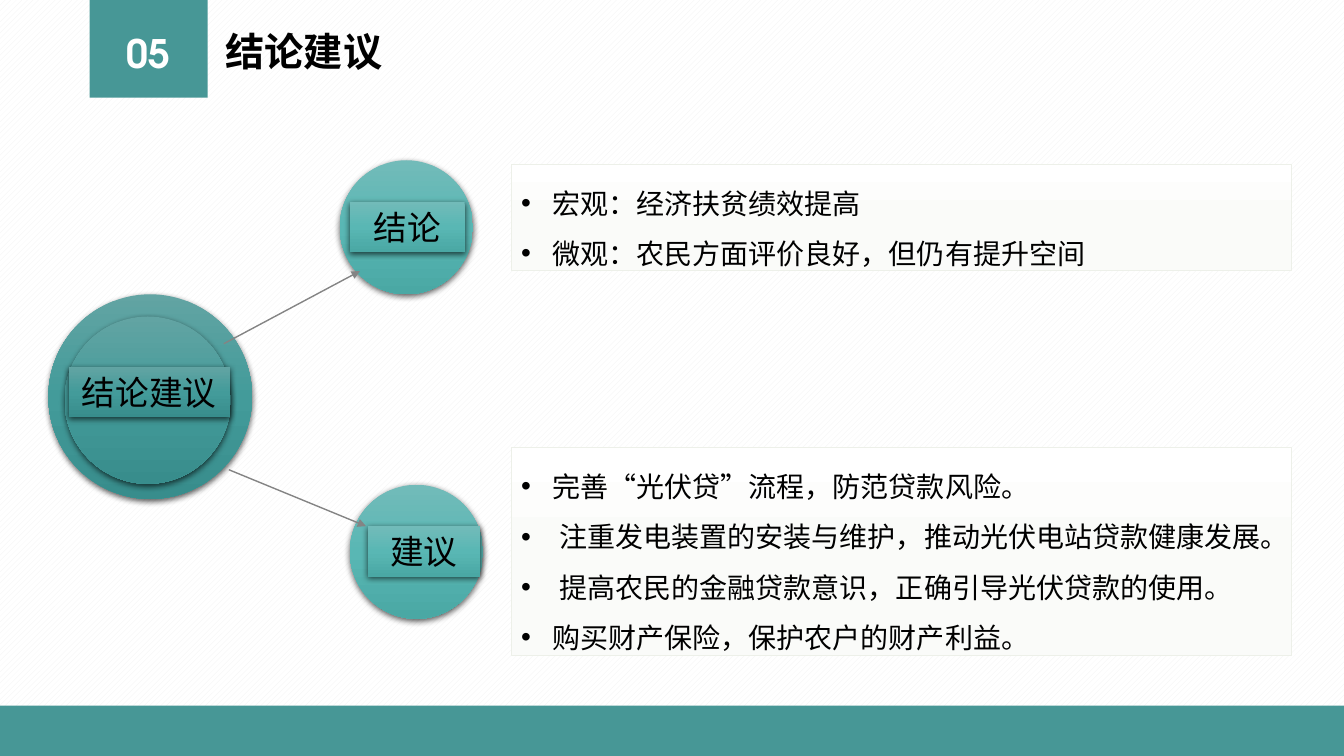
import pptx
import pptx.util
import pptx.dml.color
import pptx.enum.dml
import pptx.enum.shapes
import pptx.enum.text
import pptx.oxml
import pptx.oxml.ns

Inches = pptx.util.Inches
Shape = pptx.enum.shapes.MSO_SHAPE
Align = pptx.enum.text.PP_ALIGN
Anchor = pptx.enum.text.MSO_ANCHOR
NS = pptx.oxml.ns.nsdecls("a")

SANS = "Noto Sans CJK SC"
HEAD = "TeX Gyre Adventor"
TEAL = "479796"
DARK = ("62A4A3", "439B9A", "388D8C")
LIGHT = ("72BBB9", "59B7B4", "4AA8A4")
PALE = ("FFFFFF", "FAFBF9", "FAFBF9")


def color(code):
    return pptx.dml.color.RGBColor.from_string(code)


def write(para, text, size=20, font=SANS, tint="000000", bold=False,
          align=Align.LEFT, space=1.0, indent=None):
    if indent:
        props = para._p.get_or_add_pPr()
        props.set("marL", str(Inches(indent)))
        props.set("indent", str(-Inches(indent)))
        props.append(pptx.oxml.parse_xml(f'<a:buFont {NS} typeface="Arial"/>'))
        props.append(pptx.oxml.parse_xml(f'<a:buChar {NS} char="•"/>'))
    para.alignment = align
    para.line_spacing = space
    run = para.add_run()
    run.text = text
    run.font.size = pptx.util.Pt(size)
    run.font.bold = bold
    run.font.name = font
    run.font.color.rgb = color(tint)
    run._r.get_or_add_rPr().find(pptx.oxml.ns.qn("a:latin")).addnext(
        pptx.oxml.parse_xml(f'<a:ea {NS} typeface="{SANS}"/>'))


def block(slide, kind, box, fill, line=None, shade=False):
    """Add a shape with a plain fill, or a three-stop fill from top to bottom."""
    shape = slide.shapes.add_shape(kind, *map(Inches, box))
    shape.shadow.inherit = False
    if isinstance(fill, str):
        shape.fill.solid()
        shape.fill.fore_color.rgb = color(fill)
    else:
        stops = "".join(
            f'<a:gs pos="{n * 50000}"><a:srgbClr val="{code}"/></a:gs>'
            for n, code in enumerate(fill))
        shape._element.spPr.find(pptx.oxml.ns.qn("a:prstGeom")).addnext(
            pptx.oxml.parse_xml(
                f'<a:gradFill {NS} rotWithShape="1"><a:gsLst>{stops}</a:gsLst>'
                '<a:lin ang="5400000" scaled="0"/></a:gradFill>'))
    if line:
        shape.line.color.rgb = color(line)
        shape.line.width = pptx.util.Pt(0.5)
    else:
        shape.line.fill.background()
    if shade:
        shape._element.spPr.find(pptx.oxml.ns.qn("a:effectLst")).append(
            pptx.oxml.parse_xml(
                f'<a:outerShdw {NS} blurRad="{pptx.util.Pt(4.5)}" '
                f'dist="{pptx.util.Pt(1.5)}" dir="5400000" rotWithShape="0">'
                '<a:srgbClr val="000000"><a:alpha val="63000"/></a:srgbClr>'
                '</a:outerShdw>'))
    return shape


def header(slide, box, number, title):
    left, top, width, height = box
    badge = block(slide, Shape.RECTANGLE, box, TEAL)
    frame = badge.text_frame
    frame.margin_top = Inches(0.13)
    frame.vertical_anchor = Anchor.MIDDLE
    write(frame.paragraphs[0], number, size=28, font=HEAD, tint="FFFFFF",
          bold=True, align=Align.CENTER)
    name = slide.shapes.title
    name.left, name.top = Inches(left + width + 0.07), Inches(top + 0.22)
    name.width, name.height = Inches(1.77), Inches(0.57)
    name.text_frame.word_wrap = False
    name.text_frame.auto_size = pptx.enum.text.MSO_AUTO_SIZE.NONE
    name.text_frame.vertical_anchor = Anchor.TOP
    write(name.text_frame.paragraphs[0], title, size=28, font=HEAD, bold=True,
          align=Align.CENTER)


def arrow(slide, tip, tail):
    link = slide.shapes.add_connector(
        pptx.enum.shapes.MSO_CONNECTOR.STRAIGHT, *map(Inches, tip + tail))
    link.line.color.rgb = color("848484")
    link.line.width = pptx.util.Pt(1)
    link.line._get_or_add_ln().append(
        pptx.oxml.parse_xml(f'<a:headEnd {NS} type="triangle"/>'))
    link._element.spPr.append(pptx.oxml.parse_xml(f'<a:effectLst {NS}/>'))


def bubble(slide, discs, label, text, fill):
    """Draw one or more discs with a label plate across them."""
    for box in discs:
        block(slide, Shape.OVAL, box, fill, shade=True)
    plate = block(slide, Shape.RECTANGLE, label, fill, shade=True)
    plate.text_frame.vertical_anchor = Anchor.MIDDLE
    write(plate.text_frame.paragraphs[0], text, size=24, align=Align.CENTER)


def panel(slide, box, items):
    frame = block(slide, Shape.RECTANGLE, box, PALE, line="EDF0E9").text_frame
    frame.word_wrap = True
    frame.vertical_anchor = Anchor.TOP
    for n, (text, indent) in enumerate(items):
        para = frame.add_paragraph() if n else frame.paragraphs[0]
        write(para, text, space=1.5, indent=indent)


def main():
    deck = pptx.Presentation()
    deck.slide_width, deck.slide_height = Inches(13.33), Inches(7.5)
    slide = deck.slides.add_slide(deck.slide_layouts[5])

    # Striped background
    back = slide.background.fill
    back.patterned()
    back.pattern = pptx.enum.dml.MSO_PATTERN.WIDE_UPWARD_DIAGONAL
    back.fore_color.rgb = color("F2F2F2")
    back.back_color.rgb = color("FFFFFF")

    # Header and footer band
    header(slide, (0.89, 0, 1.17, 0.97), "05", "结论建议")
    block(slide, Shape.RECTANGLE, (0, 7, 13.33, 0.5), TEAL)

    # Hub and its two branches
    bubble(slide, [(0.48, 2.92, 2.02, 2.03), (0.64, 3.14, 1.65, 1.66)],
           (0.68, 3.64, 1.6, 0.5), "结论建议", DARK)
    bubble(slide, [(3.37, 1.59, 1.32, 1.33)], (3.47, 2, 1.14, 0.5),
           "结论", LIGHT)
    bubble(slide, [(3.47, 4.81, 1.32, 1.33)], (3.65, 5.22, 1.11, 0.5),
           "建议", LIGHT)
    arrow(slide, (3.57, 2.69), (2.22, 3.41))
    arrow(slide, (3.63, 5.22), (2.27, 4.66))

    # Text panels
    panel(slide, (5.07, 1.63, 7.74, 1.05), [
        ("宏观：经济扶贫绩效提高", 0.31),
        ("微观：农民方面评价良好，但仍有提升空间", 0.31)])
    panel(slide, (5.07, 4.44, 7.74, 2.06), [
        ("完善“光伏贷”流程，防范贷款风险。", 0.31),
        ("注重发电装置的安装与维护，推动光伏电站贷款健康发展。", 0.38),
        ("提高农民的金融贷款意识，正确引导光伏贷款的使用。", 0.38),
        ("购买财产保险，保护农户的财产利益。", 0.31)])

    deck.save("out.pptx")


if __name__ == "__main__":
    main()
